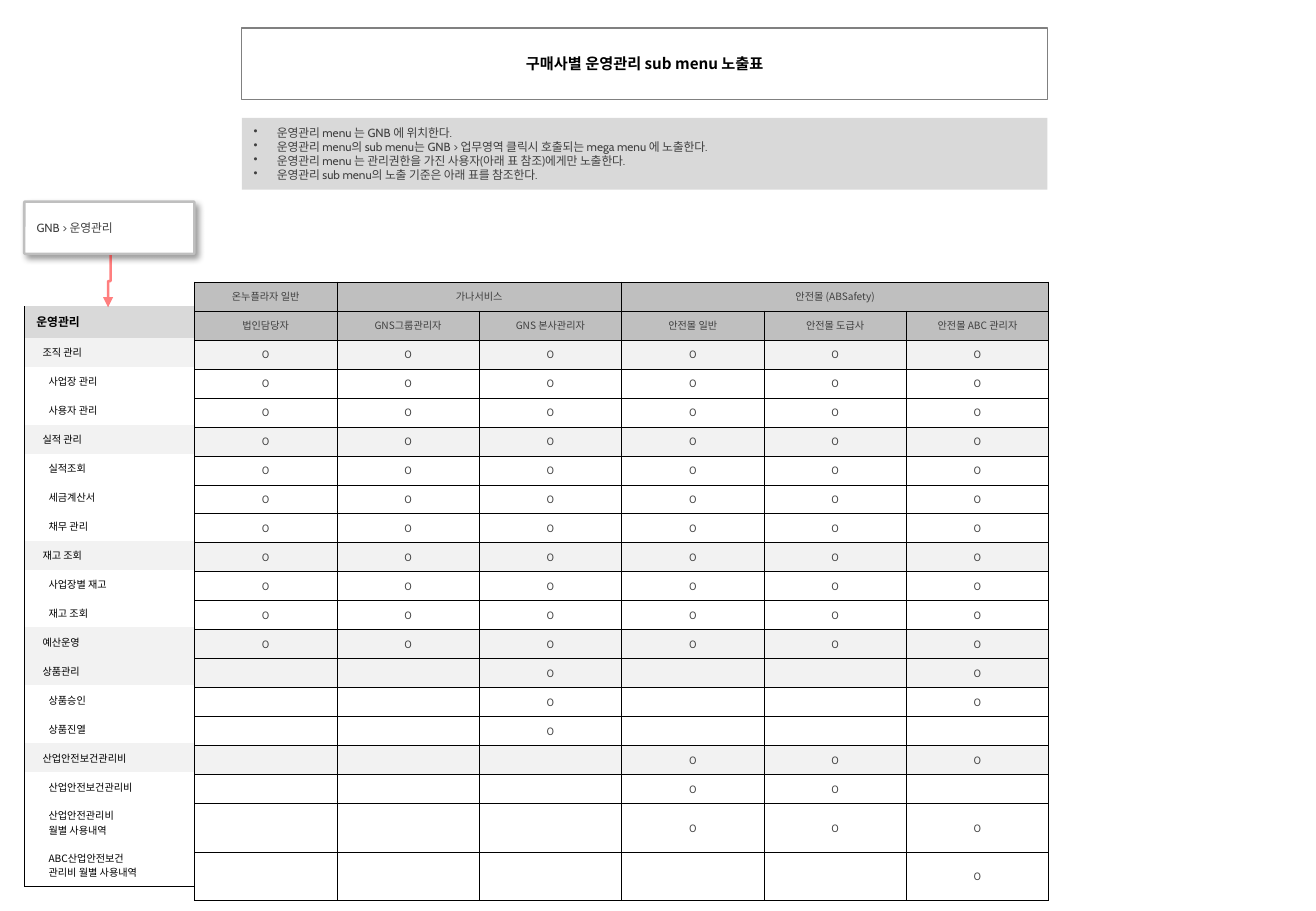
from lxml.etree import SubElement
from pptx import Presentation
from pptx.dml.color import RGBColor
from pptx.enum.shapes import MSO_CONNECTOR, MSO_SHAPE
from pptx.enum.text import MSO_ANCHOR, PP_ALIGN
from pptx.oxml import parse_xml
from pptx.oxml.ns import nsdecls, qn
from pptx.util import Inches, Pt

SANS, LATIN = "Noto Sans CJK KR", "Cabin"
BLACK, DARK, WHITE = "000000", "404040", "FFFFFF"
HEADER, PANEL, GROUP = "BFBFBF", "D9D9D9", "F2F2F2"
NO_TABLE_STYLE = "{2D5ABB26-0587-4C30-8999-92F81FD0307C}"

MARGIN, LABEL_WIDTH, TABLE_WIDTH = 0.2, 1.4, 7.03
BANNER_LEFT, BANNER_WIDTH, BANNER_HEIGHT = 1.99, 6.63, 0.59
ROW = 4.3 / 18

NOTES = [
    "운영관리 menu 는 GNB 에 위치한다.",
    "운영관리 menu의 sub menu는 GNB > 업무영역 클릭시 호출되는 mega menu 에 노출한다.",
    "운영관리 menu 는 관리권한을 가진 사용자(아래 표 참조)에게만 노출한다.",
    "운영관리 sub menu의 노출 기준은 아래 표를 참조한다.",
]
BUYERS = [("온누플라자 일반", 1), ("가나서비스", 2), ("안전몰 (ABSafety)", 3)]
ROLES = ["법인담당자", "GNS그룹관리자", "GNS 본사관리자",
         "안전몰 일반", "안전몰 도급사", "안전몰 ABC 관리자"]
# Menu name, level, and the roles that see it
MENUS = [
    ("조직 관리", 1, "OOOOOO"),
    ("사업장 관리", 2, "OOOOOO"),
    ("사용자 관리", 2, "OOOOOO"),
    ("실적 관리", 1, "OOOOOO"),
    ("실적조회", 2, "OOOOOO"),
    ("세금계산서", 2, "OOOOOO"),
    ("채무 관리", 2, "OOOOOO"),
    ("재고 조회", 1, "OOOOOO"),
    ("사업장별 재고", 2, "OOOOOO"),
    ("재고 조회", 2, "OOOOOO"),
    ("예산운영", 1, "OOOOOO"),
    ("상품관리", 1, "--O--O"),
    ("상품승인", 2, "--O--O"),
    ("상품진열", 2, "--O---"),
    ("산업안전보건관리비", 1, "---OOO"),
    ("산업안전보건관리비", 2, "---OO-"),
    ("산업안전관리비\n월별 사용내역", 2, "---OOO"),
    ("ABC산업안전보건\n관리비 월별 사용내역", 2, "-----O"),
]


def color(value):
    return RGBColor.from_string(value)


def row_fill(level):
    return GROUP if level == 1 else WHITE


def write(frame, lines, size, font, ink, bold=False, align=PP_ALIGN.LEFT, bullet=False):
    for index, line in enumerate(lines):
        paragraph = frame.paragraphs[0] if index == 0 else frame.add_paragraph()
        paragraph.alignment = align
        if bullet:
            properties = paragraph._p.get_or_add_pPr()
            properties.set("marL", str(Inches(0.19)))
            properties.set("indent", str(-Inches(0.19)))
            SubElement(properties, qn("a:buChar"), char="•")
        if not line:
            SubElement(paragraph._p, qn("a:endParaRPr"), sz=str(size * 100))
            continue
        run = paragraph.add_run()
        run.text = line
        for name, value in {"size": Pt(size), "name": font, "bold": bold}.items():
            setattr(run.font, name, value)
        run.font.color.rgb = color(ink)
        SubElement(run._r.get_or_add_rPr(), qn("a:ea"), typeface=font)


def add_panel(slide, box, lines, text, fill, line=None, width=0, corner=0):
    shape = slide.shapes.add_shape(MSO_SHAPE.ROUNDED_RECTANGLE, *map(Inches, box))
    shape.adjustments[0] = corner
    shape.shadow.inherit = False
    shape.fill.solid()
    shape.fill.fore_color.rgb = color(fill)
    if line:
        shape.line.color.rgb = color(line)
        shape.line.width = Pt(width)
    else:
        shape.line.fill.background()
    shape.text_frame.word_wrap = True
    shape.text_frame.vertical_anchor = MSO_ANCHOR.MIDDLE
    write(shape.text_frame, lines, **text)
    return shape


def add_plain_table(slide, box, heights, widths):
    """Add an unstyled table with the given row heights and column widths."""
    table = slide.shapes.add_table(len(heights), len(widths), *map(Inches, box)).table
    table.first_row = table.horz_banding = False
    table._tbl.tblPr.find(qn("a:tableStyleId")).text = NO_TABLE_STYLE
    for row, height in zip(table.rows, heights):
        row.height = Inches(height)
    for column, width in zip(table.columns, widths):
        column.width = Inches(width)
    return table


def fill_cell(cell, content, fill, sides, indent=0, **text):
    properties = cell._tc.get_or_add_tcPr()
    for side in sides:
        properties.append(parse_xml(
            f'<a:ln{side} {nsdecls("a")} w="{Pt(0.25)}"><a:solidFill>'
            f'<a:srgbClr val="{BLACK}"/></a:solidFill></a:ln{side}>'))
    cell.fill.solid()
    cell.fill.fore_color.rgb = color(fill)
    cell.vertical_anchor = MSO_ANCHOR.MIDDLE
    cell.margin_left = Inches(0.1 + indent)
    cell.margin_top = cell.margin_bottom = Inches(0.05)
    write(cell.text_frame, content.split("\n"), **text)


def add_menu_table(slide, box):
    heights = [0.26] + [ROW] * 16 + [0.35] * 2
    table = add_plain_table(slide, box, heights, [box[2] - 0.23, 0.23])
    rows = [("운영관리", 0, "")] + MENUS
    for index, (name, level, _) in enumerate(rows):
        fill = row_fill(level) if level else PANEL
        bottom = ["B"] if index == len(rows) - 1 else []
        text = {"size": 6 if level else 7, "font": SANS, "ink": BLACK, "bold": not level}
        fill_cell(table.cell(index, 0), name, fill, ["L"] + bottom, 0.05 * level, **text)
        fill_cell(table.cell(index, 1), "", fill, ["R"] + bottom, **text)


def add_exposure_table(slide, box):
    heights = [ROW] * 18 + [0.4] * 2
    table = add_plain_table(slide, box, heights, [box[2] / len(ROLES)] * len(ROLES))
    buyers = [name for buyer, span in BUYERS for name in [buyer] + [""] * (span - 1)]
    rows = [(buyers, HEADER), (ROLES, HEADER)]
    rows += [(marks.replace("-", " "), row_fill(level)) for _, level, marks in MENUS]
    for row, (contents, fill) in enumerate(rows):
        for column, content in enumerate(contents):
            fill_cell(table.cell(row, column), content.strip(), fill, "LRTB",
                      size=6, font=SANS, ink=DARK, align=PP_ALIGN.CENTER)
    start = 0
    for _, span in BUYERS:
        if span > 1:
            table.cell(0, start).merge(table.cell(0, start + span - 1))
        start += span


def add_menu_entry(slide, box):
    text = {"size": 7, "font": LATIN, "ink": DARK}
    shape = add_panel(slide, box, ["GNB > 운영관리"], text, WHITE, HEADER, 1.5, 0.02)
    effects = shape._element.spPr.find(qn("a:effectLst"))
    effects.append(parse_xml(
        f'<a:outerShdw {nsdecls("a")} blurRad="{Pt(4)}" dist="{Pt(3)}" dir="2700000" '
        f'algn="tl" rotWithShape="0"><a:srgbClr val="{BLACK}"><a:alpha val="40000"/>'
        '</a:srgbClr></a:outerShdw>'))


def add_down_arrow(slide, center_x, top, bottom):
    """Add an elbow arrow, turned a quarter so that it runs downwards."""
    middle, half = (top + bottom) / 2, (bottom - top) / 2
    ends = (center_x - half, middle - 0.01, center_x + half, middle + 0.01)
    arrow = slide.shapes.add_connector(MSO_CONNECTOR.ELBOW, *map(Inches, ends))
    properties = arrow._element.spPr
    properties.find(qn("a:xfrm")).set("rot", "5400000")
    arrow.line.color.rgb = color("FF0000")
    arrow.line.width = Pt(1.5)
    line = properties.find(qn("a:ln"))
    SubElement(line.find(".//" + qn("a:srgbClr")), qn("a:alpha"), val="50000")
    SubElement(line, qn("a:tailEnd"), type="triangle")
    SubElement(properties, qn("a:effectLst"))


def main():
    presentation = Presentation()
    presentation.slide_width = Inches(10.83)
    presentation.slide_height = Inches(7.5)
    slide = presentation.slides.add_slide(presentation.slide_layouts[6])

    add_menu_table(slide, (MARGIN, 2.52, LABEL_WIDTH, 4.79))
    add_exposure_table(slide, (MARGIN + LABEL_WIDTH, 2.32, TABLE_WIDTH, 5.1))
    add_panel(slide, (BANNER_LEFT, 0.23, BANNER_WIDTH, BANNER_HEIGHT),
              ["구매사별 운영관리 sub menu 노출표"],
              {"size": 9, "font": SANS, "ink": BLACK, "bold": True, "align": PP_ALIGN.CENTER},
              WHITE, "808080", 0.75)
    add_panel(slide, (BANNER_LEFT, 0.97, BANNER_WIDTH, BANNER_HEIGHT), NOTES,
              {"size": 7, "font": LATIN, "ink": DARK, "bullet": True}, PANEL)
    add_menu_entry(slide, (MARGIN, 1.66, LABEL_WIDTH, 0.43))
    add_down_arrow(slide, MARGIN + LABEL_WIDTH / 2, 2.1, 2.53)

    presentation.save("out.pptx")


if __name__ == "__main__":
    main()
